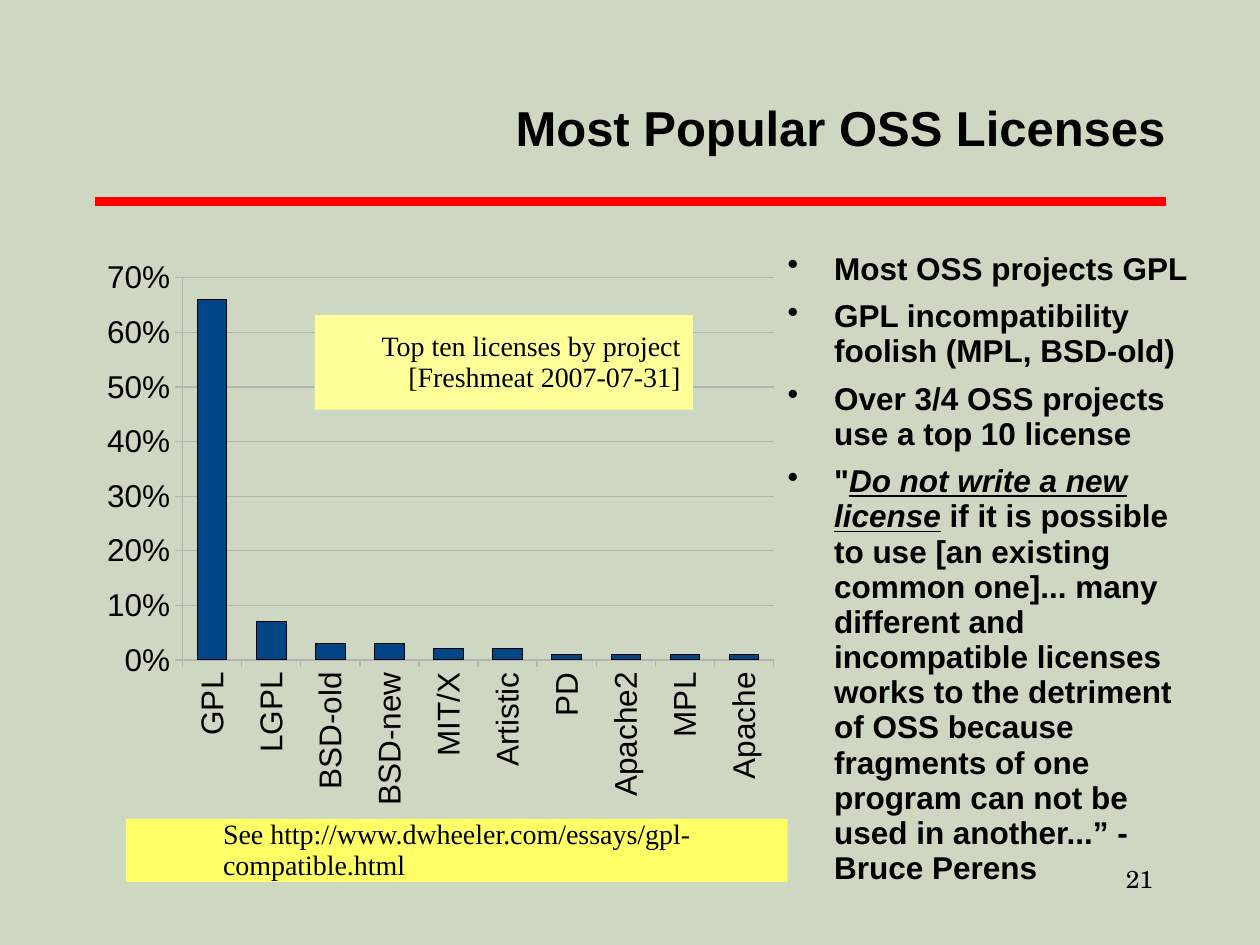
from dataclasses import dataclass

from lxml.etree import SubElement
from pptx import Presentation
from pptx.chart.data import CategoryChartData
from pptx.dml.color import RGBColor
from pptx.enum.chart import XL_CHART_TYPE, XL_TICK_LABEL_POSITION, XL_TICK_MARK
from pptx.enum.shapes import MSO_CONNECTOR, MSO_SHAPE
from pptx.enum.text import MSO_ANCHOR, PP_ALIGN
from pptx.oxml import parse_xml
from pptx.oxml.ns import nsdecls, qn
from pptx.util import Inches, Pt


@dataclass(frozen=True)
class Theme:
    background: RGBColor = RGBColor(0xCD, 0xD7, 0xC1)
    ink: RGBColor = RGBColor(0, 0, 0)
    rule: RGBColor = RGBColor(0xFF, 0, 0)
    bar: RGBColor = RGBColor(0, 0x45, 0x86)
    grid: RGBColor = RGBColor(0xB3, 0xB3, 0xB3)
    pale_yellow: RGBColor = RGBColor(0xFF, 0xFF, 0x99)
    yellow: RGBColor = RGBColor(0xFF, 0xFF, 0x66)
    sans: str = "Arial"
    serif: str = "Times New Roman"
    number_font: str = "TeX Gyre Schola"
    title_size: int = 28
    body_size: int = 18
    note_size: int = 16
    number_size: int = 14


@dataclass(frozen=True)
class Box:
    left: float
    top: float
    width: float
    height: float

    def lengths(self) -> tuple:
        return tuple(map(Inches, (self.left, self.top, self.width, self.height)))


@dataclass(frozen=True)
class Phrase:
    text: str
    stressed: bool = False


@dataclass(frozen=True)
class Note:
    box: Box
    text: str
    fill: RGBColor
    align: PP_ALIGN
    left_inset: float = 0.1


THEME = Theme()

LICENSE_SHARES = {
    "GPL": 0.66, "LGPL": 0.07, "BSD-old": 0.03, "BSD-new": 0.03, "MIT/X": 0.02,
    "Artistic": 0.02, "PD": 0.01, "Apache2": 0.01, "MPL": 0.01, "Apache": 0.01,
}

POINTS = [
    [Phrase("Most OSS projects GPL")],
    [Phrase("GPL incompatibility foolish (MPL, BSD-old)")],
    [Phrase("Over 3/4 OSS projects use a top 10 license")],
    [
        Phrase('"'),
        Phrase("Do not write a new license", stressed=True),
        Phrase(
            " if it is possible to use [an existing common one]... many different "
            "and incompatible licenses works to the detriment of OSS because "
            "fragments of one program can not be used in another...” - Bruce Perens"
        ),
    ],
]

NOTES = [
    Note(Box(2.5, 2.5, 3, 0.75), "Top ten licenses by project\v[Freshmeat 2007-07-31]",
         THEME.pale_yellow, PP_ALIGN.RIGHT),
    Note(Box(1, 6.5, 5.25, 0.5), "See http://www.dwheeler.com/essays/gpl-compatible.html",
         THEME.yellow, PP_ALIGN.LEFT, left_inset=0.77),
]


def add_bullet(paragraph, indent: float) -> None:
    properties = paragraph._p.get_or_add_pPr()
    properties.set("marL", str(Inches(indent)))
    properties.set("indent", str(-Inches(indent)))
    SubElement(properties, qn("a:buChar")).set("char", "•")


def write(frame, paragraphs, *, size, font=THEME.sans, bold=False, align=PP_ALIGN.LEFT,
          anchor=MSO_ANCHOR.TOP, insets=(0, 0, 0, 0), gap=0, bullet_indent=0) -> None:
    frame.word_wrap = True
    frame.vertical_anchor = anchor
    (frame.margin_left, frame.margin_top,
     frame.margin_right, frame.margin_bottom) = map(Inches, insets)
    for index, phrases in enumerate(paragraphs):
        paragraph = frame.add_paragraph() if index else frame.paragraphs[0]
        if bullet_indent:
            add_bullet(paragraph, bullet_indent)
        paragraph.alignment = align
        paragraph.line_spacing = 0.93
        paragraph.space_before = Pt(gap if index else 0)
        for phrase in phrases:
            for line_index, line in enumerate(phrase.text.split("\v")):
                if line_index:
                    paragraph.add_line_break()
                run = paragraph.add_run()
                run.text = line
                run.font.name = font
                run.font.size = Pt(size)
                run.font.bold = bold
                run.font.italic = phrase.stressed
                run.font.underline = phrase.stressed
                run.font.color.rgb = THEME.ink


def add_rule(slide) -> None:
    rule = slide.shapes.add_connector(
        MSO_CONNECTOR.STRAIGHT, Inches(0.75), Inches(1.6), Inches(9.25), Inches(1.6))
    rule.line.color.rgb = THEME.rule
    rule.line.width = Pt(5)
    SubElement(rule._element.spPr, qn("a:effectLst"))


def add_note(slide, note: Note) -> None:
    panel = slide.shapes.add_shape(MSO_SHAPE.ROUNDED_RECTANGLE, *note.box.lengths())
    panel.adjustments[0] = 0
    panel.shadow.inherit = False
    panel.fill.solid()
    panel.fill.fore_color.rgb = note.fill
    panel.line.fill.background()
    write(panel.text_frame, [[Phrase(note.text)]], size=THEME.note_size, font=THEME.serif,
          align=note.align, anchor=MSO_ANCHOR.MIDDLE,
          insets=(note.left_inset, 0.05, 0.1, 0.05))


def format_axis(axis) -> None:
    axis.major_tick_mark = XL_TICK_MARK.OUTSIDE
    axis.minor_tick_mark = XL_TICK_MARK.NONE
    axis.format.line.color.rgb = THEME.grid
    axis.format.line.width = Pt(0)
    labels = axis.tick_labels.font
    labels.name = THEME.sans
    labels.size = Pt(THEME.body_size)
    labels.color.rgb = THEME.ink


def add_license_chart(slide, box: Box) -> None:
    shares = CategoryChartData(number_format="0%")
    shares.categories = LICENSE_SHARES.keys()
    shares.add_series("Series 1", LICENSE_SHARES.values())
    chart = slide.shapes.add_chart(
        XL_CHART_TYPE.COLUMN_CLUSTERED, *box.lengths(), shares).chart
    chart.has_legend = False
    chart.has_title = False
    chart.font.name = THEME.sans
    chart.font.size = Pt(10)
    chart.font.color.rgb = THEME.ink

    plot = chart.plots[0]
    plot.gap_width = 100
    plot.vary_by_categories = False
    bars = plot.series[0].format
    bars.fill.solid()
    bars.fill.fore_color.rgb = THEME.bar
    bars.line.color.rgb = THEME.ink
    bars.line.width = Pt(0)

    format_axis(chart.category_axis)
    chart.category_axis.tick_label_position = XL_TICK_LABEL_POSITION.LOW
    chart.element.xpath(".//c:catAx/c:txPr/a:bodyPr")[0].set("rot", "-5400000")

    share_axis = chart.value_axis
    format_axis(share_axis)
    share_axis.minimum_scale = 0
    share_axis.maximum_scale = 0.7
    share_axis.major_unit = 0.1
    share_axis.tick_labels.number_format = "0%"
    share_axis.tick_labels.number_format_is_linked = False
    share_axis.major_gridlines.format.line.color.rgb = THEME.grid
    share_axis.major_gridlines.format.line.width = Pt(0)

    plot_area = chart.element.xpath(".//c:plotArea")[0]
    for layout in plot_area.findall(qn("c:layout")):
        plot_area.remove(layout)
    plot_area.insert(0, parse_xml(
        f'<c:layout {nsdecls("c")}><c:manualLayout><c:layoutTarget val="outer"/>'
        '<c:xMode val="edge"/><c:yMode val="edge"/><c:x val="0.02"/><c:y val="0.02"/>'
        '<c:w val="0.96"/><c:h val="0.96"/></c:manualLayout></c:layout>'))


def main() -> None:
    deck = Presentation()
    deck.slide_width, deck.slide_height = Inches(10), Inches(7.5)
    slide = deck.slides.add_slide(deck.slide_layouts[5])
    slide.background.fill.solid()
    slide.background.fill.fore_color.rgb = THEME.background

    add_rule(slide)
    page_number = slide.shapes.add_textbox(*Box(7.58, 6.83, 1.67, 0.33).lengths())
    write(page_number.text_frame, [[Phrase("21")]], size=THEME.number_size,
          font=THEME.number_font, align=PP_ALIGN.RIGHT, insets=(0.1, 0.05, 0.1, 0.05))

    title = slide.shapes.title
    title.left, title.top, title.width, title.height = Box(2.25, 0.57, 7, 0.92).lengths()
    write(title.text_frame, [[Phrase("Most Popular OSS Licenses")]], size=THEME.title_size,
          bold=True, align=PP_ALIGN.RIGHT, anchor=MSO_ANCHOR.MIDDLE)

    add_license_chart(slide, Box(0.74, 1.99, 5.51, 4.51))
    points = slide.shapes.add_textbox(*Box(6.25, 2, 3.25, 5.22).lengths())
    write(points.text_frame, POINTS, size=THEME.body_size, bold=True, gap=7,
          bullet_indent=0.37)
    for note in NOTES:
        add_note(slide, note)
    deck.save("out.pptx")


if __name__ == "__main__":
    main()
